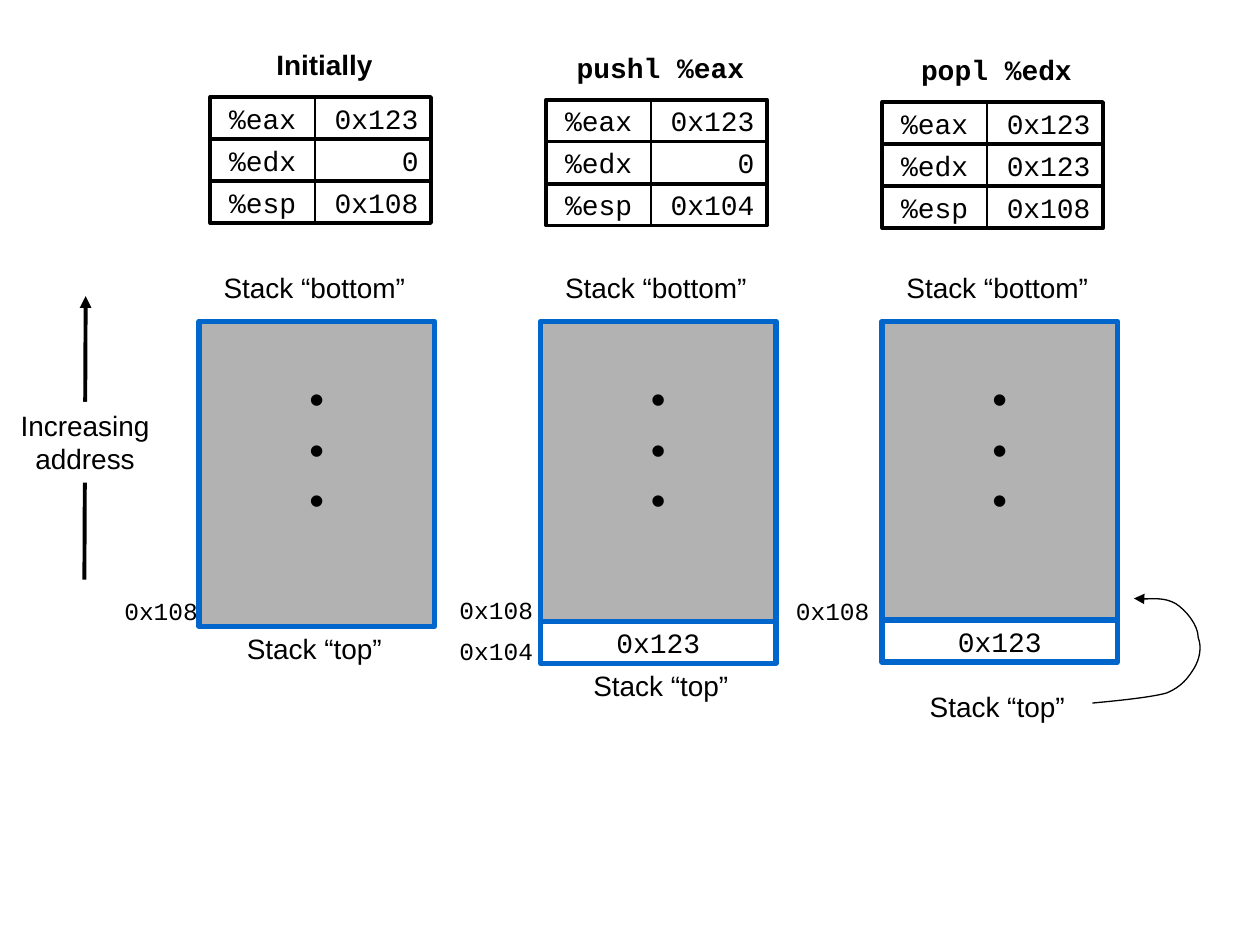
from dataclasses import dataclass
from typing import Any, Optional

from lxml.etree import SubElement
from pptx import Presentation
from pptx.dml.color import RGBColor
from pptx.enum.shapes import MSO_CONNECTOR as Connector, MSO_SHAPE as Preset
from pptx.enum.text import MSO_ANCHOR as Anchor, PP_ALIGN as Align
from pptx.oxml.ns import qn
from pptx.util import Inches, Pt


@dataclass(frozen=True)
class Theme:
    ink: RGBColor = RGBColor(0, 0, 0)
    paper: RGBColor = RGBColor(0xFF, 0xFF, 0xFF)
    memory: RGBColor = RGBColor(0xB2, 0xB2, 0xB2)
    border: RGBColor = RGBColor(0x00, 0x66, 0xCC)
    sans: str = "Arial"
    mono: str = "Courier New"
    normal: int = 16
    address: int = 14
    dots: int = 24
    dot_pitch: float = 28.8
    thin: float = 0.75
    grid: float = 1
    frame: float = 2.25
    stack: float = 3


@dataclass(frozen=True)
class Area:
    left: float
    top: float
    width: float
    height: float

    def lengths(self) -> list[int]:
        return [Inches(value) for value in (self.left, self.top, self.width, self.height)]


@dataclass(frozen=True)
class Address:
    text: str
    left: float
    top: float


@dataclass(frozen=True)
class MachineState:
    heading: str
    heading_font: str
    values: tuple[str, str, str]
    addresses: tuple[Address, ...]
    top_label: tuple[float, float]
    pushed_top: Optional[float] = None


THEME = Theme()
REGISTERS = ("%eax", "%edx", "%esp")
NAME_WIDTH, VALUE_WIDTH = 0.83, 0.92
ROW_HEIGHT = 1 / 3
STACK_TOP, STACK_WIDTH, STACK_HEIGHT = 2.55, 1.87, 2.42
LABEL_WIDTH, LABEL_HEIGHT = 1.83, 0.37

STATES = (
    MachineState("Initially", THEME.sans, ("0x123", "0", "0x108"),
                 (Address("0x108", 0.67, 4.68),), (1.58, 4.96)),
    MachineState("pushl %eax", THEME.mono, ("0x123", "0", "0x104"),
                 (Address("0x108", 3.33, 4.67), Address("0x104", 3.33, 5)),
                 (4.33, 5.26), 4.93),
    MachineState("popl %edx", THEME.mono, ("0x123", "0x123", "0x108"),
                 (Address("0x108", 6, 4.68),), (7, 5.42), 4.92),
)

POP_CURVE = (
    (8.67, 5.58),
    (8.77, 5.57), (9.12, 5.54), (9.26, 5.5),
    (9.38, 5.45), (9.43, 5.38), (9.48, 5.3),
    (9.52, 5.23), (9.54, 5.14), (9.51, 5.06),
    (9.51, 4.96), (9.41, 4.84), (9.33, 4.79),
    (9.24, 4.74), (9.07, 4.76), (9, 4.75),
)


def apply(target: Any, formats: dict[str, Any]) -> None:
    for name, value in formats.items():
        setattr(target, name, value)


def write(box: Any, lines: tuple[str, ...], font: str = THEME.sans, size: int = THEME.normal,
          align: Align = Align.CENTER, bold: bool = False, frame: Optional[dict] = None,
          spacing: Optional[int] = None) -> None:
    text_frame = box.text_frame
    apply(text_frame, {"word_wrap": True, "vertical_anchor": Anchor.TOP, **(frame or {})})
    for index, line in enumerate(lines):
        para = text_frame.add_paragraph() if index else text_frame.paragraphs[0]
        apply(para, {"alignment": align, "line_spacing": spacing})
        span = para.add_run()
        span.text = line
        apply(span.font, {"name": font, "size": Pt(size), "bold": bold})
        span.font.color.rgb = THEME.ink


def add_label(shapes: Any, area: Area, text: str, **style: Any) -> None:
    write(shapes.add_textbox(*area.lengths()), (text,), **style)


def add_box(shapes: Any, area: Area, fill: Optional[RGBColor],
            line: Optional[RGBColor], weight: float = 0) -> Any:
    box = shapes.add_shape(Preset.RECTANGLE, *area.lengths())
    box.shadow.inherit = False
    if fill is None:
        box.fill.background()
    else:
        box.fill.solid()
        box.fill.fore_color.rgb = fill
    if line is None:
        box.line.fill.background()
    else:
        box.line.color.rgb = line
        box.line.width = Pt(weight)
    return box


def add_arrowhead(shape: Any) -> None:
    SubElement(shape.line._get_or_add_ln(), qn("a:tailEnd"), type="triangle")


def draw_registers(shapes: Any, state: MachineState, left: float, top: float) -> None:
    group = shapes.add_group_shape().shapes
    middle = {"vertical_anchor": Anchor.MIDDLE, "word_wrap": False}
    rows = [top + index * ROW_HEIGHT for index in range(len(REGISTERS))]
    for row, register, value in zip(rows, REGISTERS, state.values):
        cells = ((left, NAME_WIDTH, register, Align.CENTER),
                 (left + NAME_WIDTH, VALUE_WIDTH, value, Align.RIGHT))
        for cell_left, width, text, align in cells:
            cell = add_box(group, Area(cell_left, row, width, ROW_HEIGHT),
                           THEME.paper, THEME.ink, THEME.grid)
            write(cell, (text,), THEME.mono, align=align, frame=middle)
    for row in rows:
        add_box(group, Area(left, row, NAME_WIDTH + VALUE_WIDTH, ROW_HEIGHT),
                None, THEME.ink, THEME.frame)
    add_label(shapes, Area(left + 0.06, top - 0.44, 1.69, LABEL_HEIGHT),
              state.heading, font=state.heading_font, bold=True)


def draw_stack(shapes: Any, state: MachineState, left: float) -> None:
    middle = {"vertical_anchor": Anchor.MIDDLE, "word_wrap": False}
    memory = add_box(shapes, Area(left, STACK_TOP, STACK_WIDTH, STACK_HEIGHT),
                     THEME.memory, THEME.border, THEME.stack)
    write(memory, ("•",) * 3, size=THEME.dots, spacing=Pt(THEME.dot_pitch),
          frame={**middle, "margin_bottom": Inches(0.45)})
    add_label(shapes, Area(left, 2.1, LABEL_WIDTH, LABEL_HEIGHT), "Stack “bottom”")
    add_label(shapes, Area(*state.top_label, LABEL_WIDTH, LABEL_HEIGHT), "Stack “top”")
    if state.pushed_top is not None:
        pushed = add_box(shapes, Area(left, state.pushed_top, STACK_WIDTH, ROW_HEIGHT),
                         THEME.paper, THEME.border, THEME.stack)
        write(pushed, ("0x123",), THEME.mono, frame=middle)
    for address in state.addresses:
        add_label(shapes, Area(address.left, address.top, 1, 0.34), address.text,
                  font=THEME.mono, size=THEME.address, align=Align.RIGHT)


def draw_address_direction(shapes: Any) -> None:
    ends = [Inches(value) for value in (0.67, 4.6, 0.68, 2.35)]
    arrow = shapes.add_connector(Connector.STRAIGHT, *ends)
    arrow.line.color.rgb = THEME.ink
    arrow.line.width = Pt(THEME.frame)
    add_arrowhead(arrow)
    SubElement(arrow._element.spPr, qn("a:effectLst"))
    caption = add_box(shapes, Area(0, 3.19, 1.35, 0.64), THEME.paper, None)
    write(caption, ("Increasing", "address"))


def draw_pop_arrow(shapes: Any) -> None:
    start, *controls = [(Inches(x), Inches(y)) for x, y in POP_CURVE]
    builder = shapes.build_freeform(*start)
    builder.add_line_segments(controls, close=False)
    curve = builder.convert_to_shape()
    segments = list(curve._element.iter(qn("a:lnTo")))
    outline = segments[0].getparent()
    for first in range(0, len(segments), 3):
        bezier = SubElement(outline, qn("a:cubicBezTo"))
        for segment in segments[first:first + 3]:
            bezier.append(segment[0])
            outline.remove(segment)
    curve.shadow.inherit = False
    curve.fill.background()
    curve.line.color.rgb = THEME.ink
    curve.line.width = Pt(THEME.thin)
    add_arrowhead(curve)


def main() -> None:
    deck = Presentation()
    apply(deck, {"slide_width": Inches(10), "slide_height": Inches(7.5)})
    page = deck.slides.add_slide(deck.slide_layouts[6])
    draw_address_direction(page.shapes)
    for index, state in enumerate(STATES):
        draw_stack(page.shapes, state, 1.58 + index * 2.71)
        draw_registers(page.shapes, state, 1.67 + index * 8 / 3, 0.77 + index * 0.02)
    draw_pop_arrow(page.shapes)
    deck.save("out.pptx")


if __name__ == "__main__":
    main()
